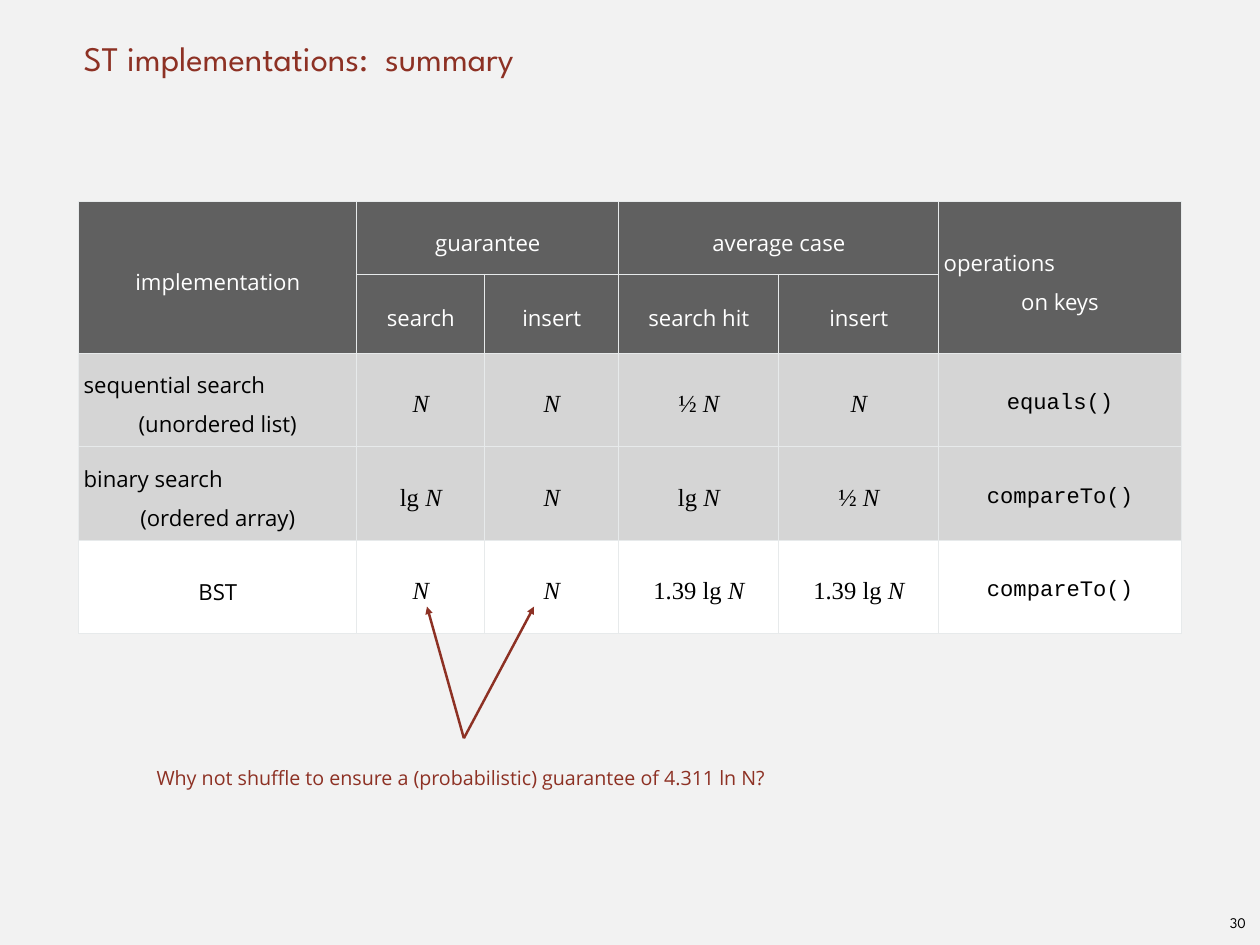
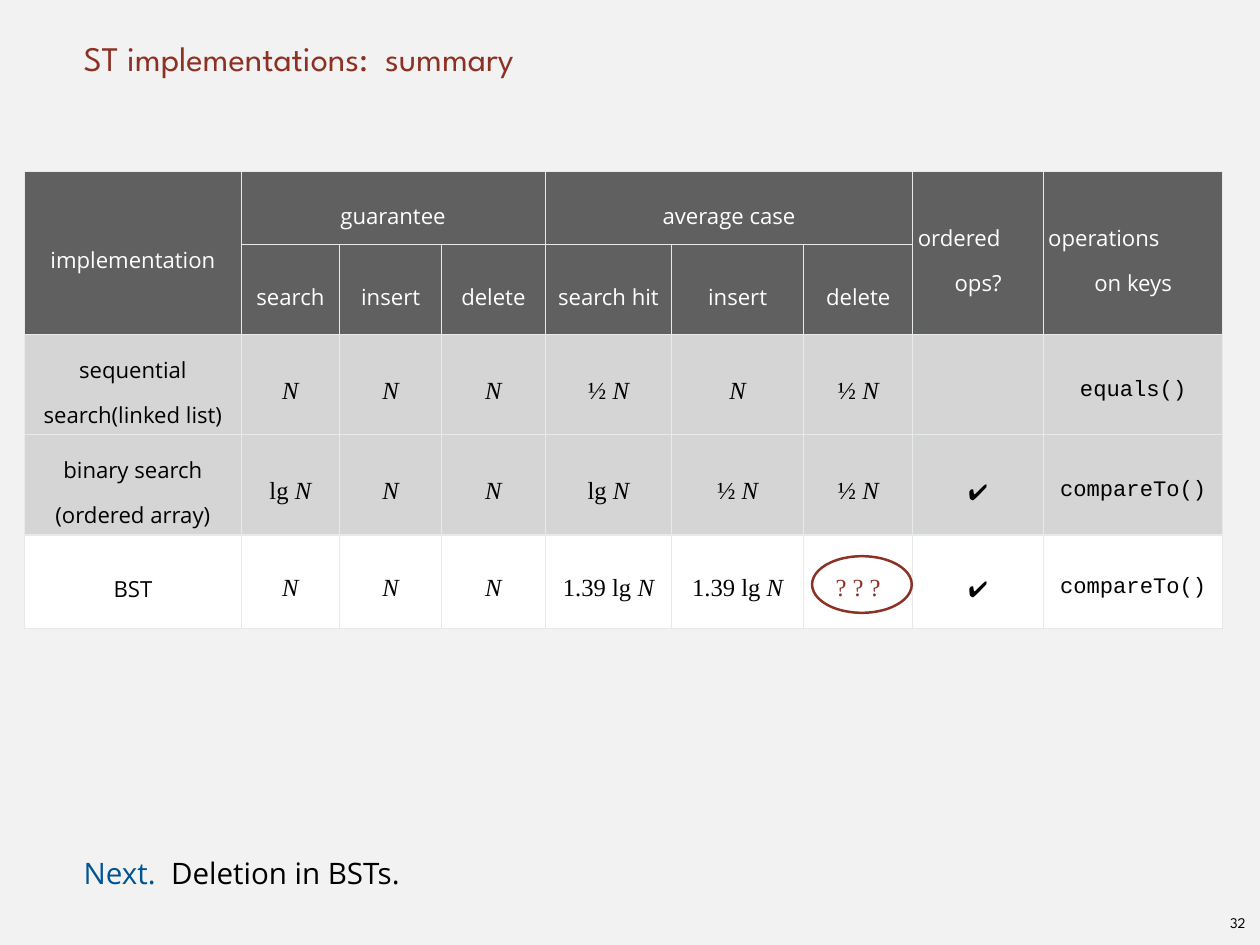
from lxml import etree
from pptx import Presentation
from pptx.dml.color import RGBColor
from pptx.enum.shapes import MSO_CONNECTOR, MSO_SHAPE
from pptx.enum.text import MSO_ANCHOR, PP_ALIGN
from pptx.oxml.ns import qn
from pptx.util import Pt

PX = 12700
LEFT, MID = PP_ALIGN.LEFT, PP_ALIGN.CENTER
TOP, CORE, LOW = MSO_ANCHOR.TOP, MSO_ANCHOR.MIDDLE, MSO_ANCHOR.BOTTOM
LINE, OVAL = MSO_CONNECTOR.STRAIGHT, MSO_SHAPE.OVAL
HEAD, SANS, MATH, CODE = "League Spartan", "Open Sans", "Times New Roman", "Courier New"
PAGE, RED, BLUE, BLACK, WHITE = "F2F2F2", "8D3124", "005493", "000000", "FFFFFF"
DARK, GREY, RULE = "606060", "D5D5D5", "E7EAEB"
PAD = 4


def px(*nums):
    """Turn px lengths into EMU."""
    return [num * PX for num in nums]


def color(code):
    """Turn a hex string into a colour."""
    return RGBColor.from_string(code)


def style(run, face, size, ink, slant=False):
    """Set the font of one run."""
    font = run.font
    font.name, font.size, font.italic = face, Pt(size), slant
    font.color.rgb = color(ink)


def label(slide, box, parts, face, size, align=LEFT, anchor=TOP, space=None, wrap=True):
    """Add a text box of one line made of (text, colour) parts."""
    frame = slide.shapes.add_textbox(*px(*box)).text_frame
    frame.word_wrap, frame.vertical_anchor = wrap, anchor
    frame.margin_left = PAD * PX
    frame.margin_right = frame.margin_top = frame.margin_bottom = 0
    para = frame.paragraphs[0]
    para.alignment, para.line_spacing = align, space
    for text, ink in parts:
        run = para.add_run()
        run.text = text
        style(run, face, size, ink)


def page(prs, title, number):
    """Add a slide with its title and page number."""
    slide = prs.slides.add_slide(prs.slide_layouts[5])
    shape = slide.shapes.title
    shape.left, shape.top, shape.width, shape.height = px(64, 0, 896, 64)
    frame = shape.text_frame
    frame.text = title
    frame.vertical_anchor = LOW
    frame.margin_left = PAD * PX
    frame.margin_right = frame.margin_top = frame.margin_bottom = 0
    para = frame.paragraphs[0]
    para.alignment = LEFT
    style(para.runs[0], HEAD, 28, RED)
    label(slide, (992, 738, 24, 23), [(number, BLACK)], HEAD, 12, MID, CORE, wrap=False)
    return slide


def border(cell):
    """Rule all four sides of a cell."""
    props = cell._tc.get_or_add_tcPr()
    for spot, side in enumerate(("a:lnL", "a:lnR", "a:lnT", "a:lnB")):
        line = etree.Element(qn(side), w=str(PX))
        fill = etree.SubElement(line, qn("a:solidFill"))
        etree.SubElement(fill, qn("a:srgbClr"), val=RULE)
        props.insert(spot, line)


def write(cell, text, face, size, ink, space):
    """Fill a cell with text, setting a closing N in italics."""
    frame = cell.text_frame
    slant = face == MATH and text.endswith("N")
    frame.text = text[:-1] if slant else text
    if slant:
        frame.paragraphs[0].add_run().text = "N"
    for para in frame.paragraphs:
        para.alignment, para.line_spacing = LEFT, space
        for run in para.runs:
            style(run, face, size, ink, slant and run.text == "N")
    frame.paragraphs[-1].alignment = MID


def merge(table, top, sub):
    """Join header cells down or across where the grid has gaps."""
    for col, text in enumerate(top):
        if text is None:
            continue
        end = col
        if sub[col] is not None:
            while end + 1 < len(top) and top[end + 1] is None:
                end += 1
        low = 1 if sub[col] is None else 0
        table.cell(0, col).merge(table.cell(low, end))


def grid(slide, spot, cols, rows, data, space):
    """Add a table with two header rows and a white last row."""
    box = px(*spot, sum(cols), sum(rows))
    table = slide.shapes.add_table(len(rows), len(cols), *box).table
    table.first_row = table.horz_banding = False
    for col, size in zip(table.columns, cols):
        col.width = size * PX
    for row, size in zip(table.rows, rows):
        row.height = size * PX
    for r, line in enumerate(data):
        for c, text in enumerate(line):
            cell = table.cell(r, c)
            cell.vertical_anchor = CORE
            cell.margin_left = cell.margin_right = PAD * PX
            cell.margin_top = cell.margin_bottom = PAD * PX
            cell.fill.solid()
            back = DARK if r < 2 else WHITE if r == len(data) - 1 else GREY
            cell.fill.fore_color.rgb = color(back)
            border(cell)
            if not text:
                continue
            face, size = MATH, 20
            if r < 2 or c == 0 or text == "✔":
                face, size = SANS, 18
            elif text.endswith("()"):
                face, size = CODE, 18
            ink = WHITE if r < 2 else RED if "?" in text else BLACK
            write(cell, text, face, size, ink, space)
    merge(table, data[0], data[1])


def arrow(slide, start, end):
    """Draw a red arrow."""
    link = slide.shapes.add_connector(LINE, *px(*start, *end))
    link.line.color.rgb, link.line.width = color(RED), Pt(2)
    etree.SubElement(link.line._get_or_add_ln(), qn("a:tailEnd"), type="triangle")
    etree.SubElement(link._element.spPr, qn("a:effectLst"))


def ring(slide, box):
    """Draw a red outline around a cell."""
    shape = slide.shapes.add_shape(OVAL, *px(*box))
    shape.shadow.inherit = False
    shape.fill.background()
    shape.line.color.rgb, shape.line.width = color(RED), Pt(2)


def main():
    """Build both slides."""
    prs = Presentation()
    prs.slide_width, prs.slide_height = px(1024, 768)
    fill = prs.slide_master.background.fill
    fill.solid()
    fill.fore_color.rgb = color(PAGE)
    title = "ST implementations:  summary"

    slide = page(prs, title, "30")
    grid(slide, (64, 164), (226, 104, 109, 130, 130, 197), (59, 64, 76, 76, 76), [
        ["implementation", "guarantee", None, "average case", None, "operations\non keys"],
        [None, "search", "insert", "search hit", "insert", None],
        ["sequential search\n(unordered list)", "N", "N", "½ N", "N", "equals()"],
        ["binary search\n(ordered array)", "lg N", "N", "lg N", "½ N", "compareTo()"],
        ["BST", "N", "N", "1.39 lg N", "1.39 lg N", "compareTo()"],
    ], 1.3)
    note = "Why not shuffle to ensure a (probabilistic) guarantee of 4.311 ln N?"
    label(slide, (67, 613, 611, 26), [(note, RED)], SANS, 16, MID, space=1.5)
    for tip in (347, 434):
        arrow(slide, (377, 600), (tip, 493))

    slide = page(prs, title, "32")
    label(slide, (64, 685, 896, 39), [("Next.  ", BLUE), ("Deletion in BSTs.", BLACK)],
          SANS, 24, space=Pt(39))
    cols = (176, 80, 83, 84, 103, 107, 89, 106, 146)
    grid(slide, (20, 139), cols, (60, 69, 81, 82, 76), [
        ["implementation", "guarantee", None, None, "average case", None, None,
         "ordered\nops?", "operations\non keys"],
        [None, "search", "insert", "delete", "search hit", "insert", "delete", None, None],
        ["sequential search(linked list)", "N", "N", "N", "½ N", "N", "½ N", "", "equals()"],
        ["binary search (ordered array)", "lg N", "N", "N", "lg N", "½ N", "½ N", "✔",
         "compareTo()"],
        ["BST", "N", "N", "N", "1.39 lg N", "1.39 lg N", "? ? ?", "✔", "compareTo()"],
    ], 1.5)
    ring(slide, (660, 452, 81, 46))
    prs.save("out.pptx")


if __name__ == "__main__":
    main()
